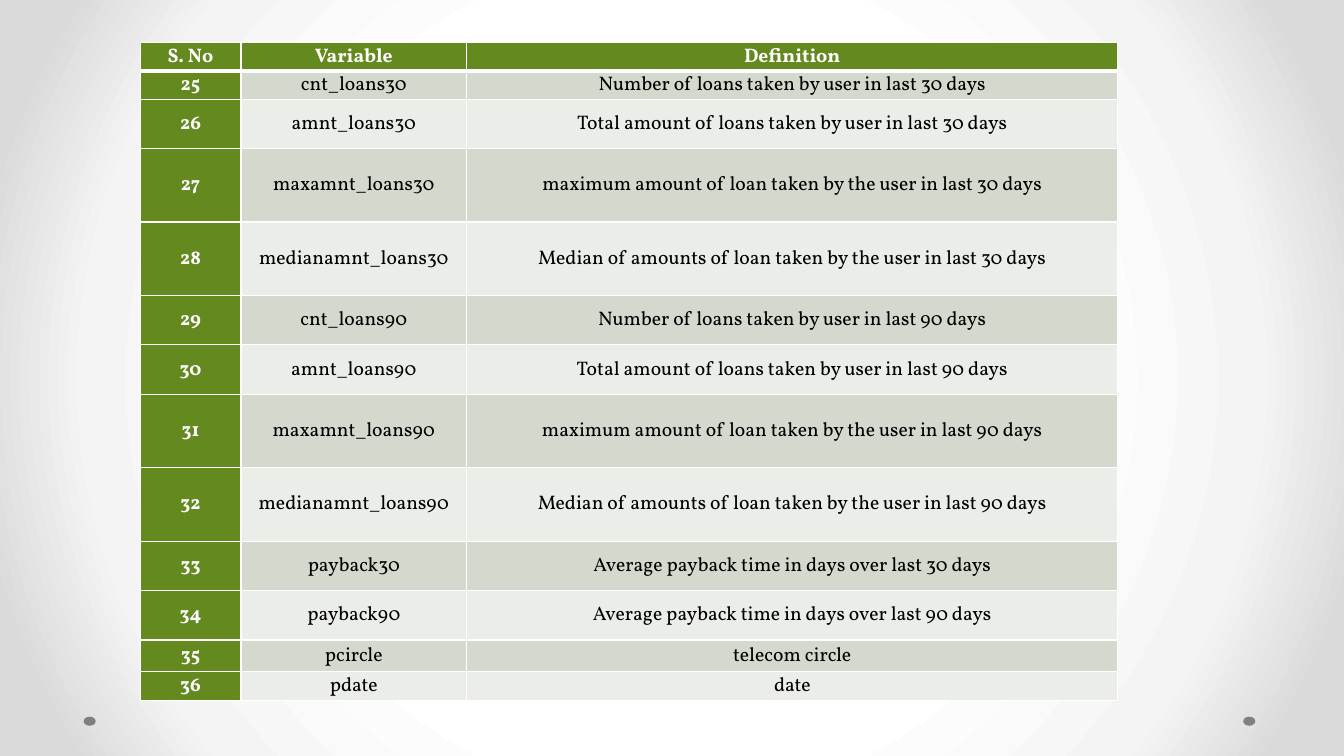
from dataclasses import dataclass

from lxml import etree
from pptx import Presentation
from pptx.dml.color import RGBColor
from pptx.enum.shapes import MSO_SHAPE
from pptx.enum.text import MSO_ANCHOR, PP_ALIGN
from pptx.oxml import parse_xml
from pptx.oxml.ns import nsdecls, qn
from pptx.util import Inches, Pt

OVAL = MSO_SHAPE.OVAL
MIDDLE = MSO_ANCHOR.MIDDLE
CENTER = PP_ALIGN.CENTER

WIDE, HIGH = Inches(13.33), Inches(7.5)
FONT = "Vollkorn"
WHITE, BLACK, GREEN, GRAY = "FFFFFF", "000000", "63891F", "808080"
BANDS = ("D3DACD", "EAEDE8")
GLOW = ((50, "FFFFFF"), (76, "F4F4F4"), (92, "DADADA"))
COLS = (7.5, 16.8, 48.45)
SLIM, MID, TALL = 3.6, 6.53, 9.73
FIRST = 25


@dataclass
class Entry:
    name: str
    text: str
    high: float


@dataclass
class Dot:
    left: float
    top: float


def loans(days: int, first: float) -> list[Entry]:
    return [
        Entry(f"cnt_loans{days}", f"Number of loans taken by user in last {days} days", first),
        Entry(f"amnt_loans{days}", f"Total amount of loans taken by user in last {days} days", MID),
        Entry(f"maxamnt_loans{days}", f"maximum amount of loan taken by the user in last {days} days", TALL),
        Entry(f"medianamnt_loans{days}", f"Median of amounts of loan taken by the user in last {days} days", TALL),
    ]


ITEMS = [
    *loans(30, SLIM),
    *loans(90, MID),
    *(Entry(f"payback{days}", f"Average payback time in days over last {days} days", MID) for days in (30, 90)),
    Entry("pcircle", "telecom circle", 4.13),
    Entry("pdate", "date", 3.87),
]
DOTS = [Dot(92.5, 94.8), Dot(6.22, 94.8)]


def across(share: float) -> int:
    return round(WIDE * share / 100)


def down(share: float) -> int:
    return round(HIGH * share / 100)


def paint(fill, tint: str) -> None:
    fill.solid()
    fill.fore_color.rgb = RGBColor.from_string(tint)


def write(frame, text: str, *, tint: str = BLACK, bold: bool = False, size: float = 14) -> None:
    para = frame.paragraphs[0]
    para.alignment = CENTER
    run = para.add_run()
    run.text = text
    run.font.name = FONT
    run.font.size = Pt(size)
    run.font.bold = bold
    paint(run.font.fill, tint)


def edge(cell, side: str, width: float) -> None:
    line = etree.SubElement(cell._tc.get_or_add_tcPr(), qn(f"a:ln{side}"), w=str(Pt(width)))
    solid = etree.SubElement(line, qn("a:solidFill"))
    etree.SubElement(solid, qn("a:srgbClr"), val=WHITE)


def style(cell, tint: str, top: float, base: float) -> None:
    for side, width in (("L", 1), ("R", 1), ("T", top), ("B", base)):
        edge(cell, side, width)
    paint(cell.fill, tint)
    cell.vertical_anchor = MIDDLE
    cell.margin_left = cell.margin_right = cell.margin_top = Inches(0.01)
    cell.margin_bottom = 0


def shade(slide) -> None:
    stops = "".join(
        f'<a:gs pos="{pos * 1000}"><a:srgbClr val="{tint}"/></a:gs>' for pos, tint in GLOW
    )
    back = parse_xml(
        f'<p:bg {nsdecls("p", "a")}><p:bgPr><a:gradFill rotWithShape="1"><a:gsLst>{stops}</a:gsLst>'
        '<a:path path="circle"><a:fillToRect l="50000" t="50000" r="50000" b="50000"/></a:path>'
        "</a:gradFill><a:effectLst/></p:bgPr></p:bg>"
    )
    slide.element.cSld.insert(0, back)


def spot(slide, dot: Dot) -> None:
    shape = slide.shapes.add_shape(OVAL, across(dot.left), down(dot.top), across(0.9), down(1.2))
    shape.shadow.inherit = False
    paint(shape.fill, GRAY)
    shape.line.fill.background()


def chart(slide) -> None:
    highs = [SLIM, *(item.high for item in ITEMS)]
    table = slide.shapes.add_table(
        len(highs), len(COLS), across(10.43), down(5.6), across(sum(COLS)), down(sum(highs))
    ).table
    for col, share in zip(table.columns, COLS):
        col.width = across(share)
    for row, share in zip(table.rows, highs):
        row.height = down(share)
    lines = [("S. No", "Variable", "Definition")]
    lines += [(str(num), item.name, item.text) for num, item in enumerate(ITEMS, FIRST)]
    for row, line in enumerate(lines):
        for col, text in enumerate(line):
            head = row == 0 or col == 0
            cell = table.cell(row, col)
            style(cell, GREEN if head else BANDS[(row - 1) % 2], 3 if row == 1 else 1, 3 if row == 0 else 1)
            write(cell.text_frame, text, tint=WHITE if head else BLACK, bold=head)


def main() -> None:
    deck = Presentation()
    deck.slide_width, deck.slide_height = WIDE, HIGH
    slide = deck.slides.add_slide(deck.slide_layouts[6])
    shade(slide)
    for dot in DOTS:
        spot(slide, dot)
    chart(slide)
    deck.save("out.pptx")


if __name__ == "__main__":
    main()
